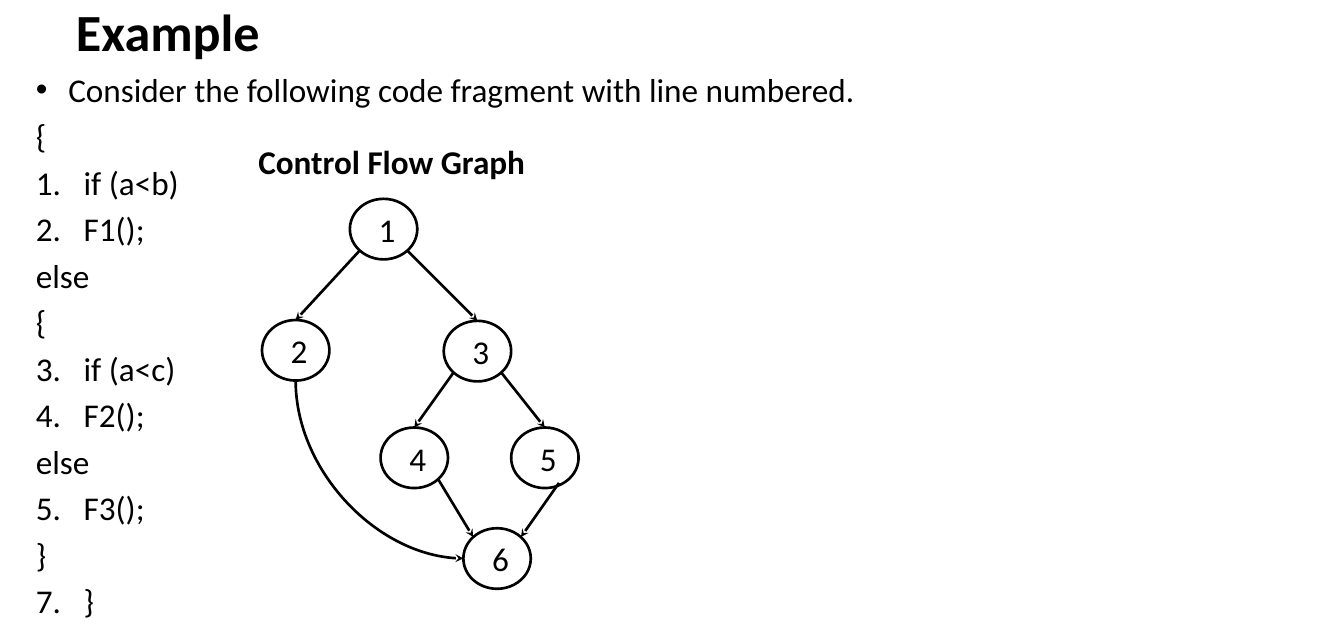
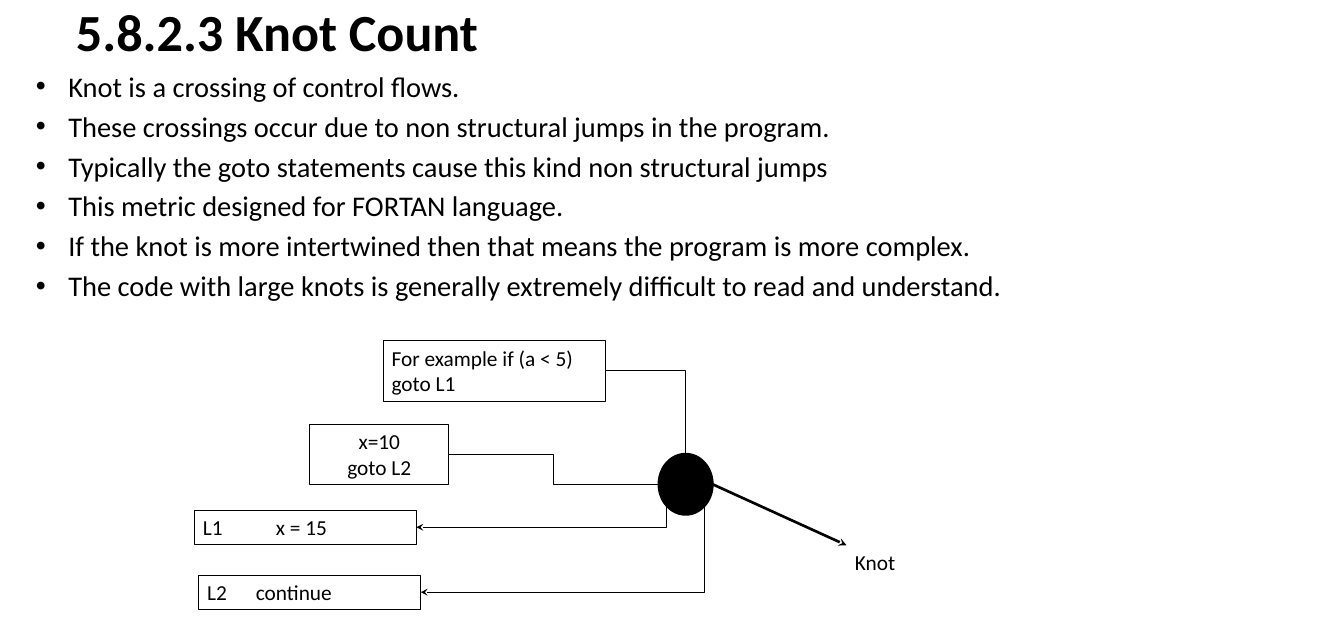
from typing import NamedTuple

from lxml.etree import SubElement
from pptx import Presentation
from pptx.dml.color import RGBColor
from pptx.enum.shapes import MSO_CONNECTOR as Wire, MSO_SHAPE as Geom
from pptx.enum.text import MSO_ANCHOR as Anchor, MSO_AUTO_SIZE as Fit, PP_ALIGN as Align
from pptx.oxml.ns import qn
from pptx.shapes.autoshape import Shape
from pptx.slide import Slide
from pptx.text.text import _Paragraph as Para
from pptx.util import Inches, Pt

INK = RGBColor(0, 0, 0)
PAPER = RGBColor(255, 255, 255)
FONT = "Calibri"
COLS, ROWS, CELL = 63, 30, 0.25  # the slide's grid, cells in inches
THIN, MID, THICK = 0.75, 1, 2.25
DIAG = 0.71  # share of a radius at 45 degrees
HEAD, TAIL = "headEnd", "tailEnd"


class Area(NamedTuple):
    """A rectangle in columns and rows."""
    x: float
    y: float
    w: float
    h: float


class Item(NamedTuple):
    """A body line; mark is a bullet, a first number or nothing."""
    text: str
    mark: str | int = ""


class Edge(NamedTuple):
    """An arrow between nodes, with its ends as shares of their radii."""
    start: int
    out: tuple[float, float]
    end: int
    into: tuple[float, float]


class Box(NamedTuple):
    area: Area
    lines: list[str]
    align: Align = Align.LEFT
    edge: float = THIN
    tab: float = 0


TITLE = Area(3.16, -1.08, 56.72, 5)
BODY = Area(1.28, 3.04, 60.48, 26.96)


# Shared helpers
def cells(n: float) -> int:
    return Inches(n * CELL)


def style(para: Para, size: float, align: Align, bold: bool = False) -> None:
    para.alignment = align
    font = para.font
    font.name, font.size, font.bold = FONT, Pt(size), bold
    font.color.rgb = INK


def place(shape: Shape, area: Area) -> None:
    shape.left, shape.top, shape.width, shape.height = map(cells, area)


def bullet(para: Para, mark: str | int) -> None:
    props = para._p.get_or_add_pPr()
    hang = Inches(0.56 if isinstance(mark, int) else 0.38) if mark else 0
    props.set("marL", str(hang))
    props.set("indent", str(-hang))
    if not mark:
        SubElement(props, qn("a:buNone"))
    elif isinstance(mark, int):
        SubElement(props, qn("a:buAutoNum"), type="arabicPeriod", startAt=str(mark))
    else:
        SubElement(props, qn("a:buChar"), char=mark)


def page(deck: Presentation, title: str, items: list[Item], size: float) -> Slide:
    slide = deck.slides.add_slide(deck.slide_layouts[1])
    head, body = slide.placeholders
    place(head, TITLE)
    head.text_frame.text = title
    style(head.text_frame.paragraphs[0], 44, Align.JUSTIFY, bold=True)
    place(body, BODY)
    frame = body.text_frame
    frame.text = "\n".join(item.text for item in items)
    for para, item in zip(frame.paragraphs, items):
        bullet(para, item.mark)
        style(para, size, Align.JUSTIFY)
    for holder in (head, body):
        holder.text_frame.auto_size = Fit.NONE
    return slide


def draw(slide: Slide, geom: Geom, area: Area, edge: float) -> Shape:
    shape = slide.shapes.add_shape(geom, *map(cells, area))
    shape.shadow.inherit = False
    shape.fill.background()
    if edge:
        shape.line.color.rgb = INK
        shape.line.width = Pt(edge)
    else:
        shape.line.fill.background()
    return shape


def write(shape: Shape, lines: list[str], size: float, align: Align,
          bold: bool = False, tab: float = 0) -> None:
    frame = shape.text_frame
    frame.word_wrap = True
    frame.vertical_anchor = Anchor.TOP
    frame.text = "\n".join(lines)
    for para in frame.paragraphs:
        if tab:
            stops = SubElement(para._p.get_or_add_pPr(), qn("a:tabLst"))
            SubElement(stops, qn("a:tab"), pos=str(cells(tab)), algn="l")
        style(para, size, align, bold)


def rim(shape: Shape, dx: float, dy: float) -> tuple[int, int]:
    """A point at shares of the half width and height from the centre."""
    return (round(shape.left + shape.width * (1 + dx) / 2),
            round(shape.top + shape.height * (1 + dy) / 2))


def link(slide: Slide, start: tuple[int, int], end: tuple[int, int], width: float,
         tip: str = "", kind: Wire = Wire.STRAIGHT, preset: str = "") -> None:
    wire = slide.shapes.add_connector(kind, *start, *end)
    wire.line.color.rgb = INK
    wire.line.width = Pt(width)
    props = wire._element.spPr
    if preset:
        props.find(qn("a:prstGeom")).set("prst", preset)
    if tip:
        SubElement(props.find(qn("a:ln")), qn(f"a:{tip}"), type="stealth")
    SubElement(props, qn("a:effectLst"))


# Slide 1: code and its control flow graph
CODE = [
    Item("Consider the following code fragment with line numbered.", "•"),
    Item("{"), Item("if (a<b)", 1), Item("F1();", 1), Item("else"),
    Item("{"), Item("if (a<c)", 3), Item("F2();", 3), Item("else"),
    Item("F3();", 5), Item("}"), Item("}", 7),
]
SPOTS = [(16.4, 9.32), (12.28, 15), (20.8, 15.04),
         (17.84, 20.04), (23.96, 20.04), (21.72, 24.76)]
UP, LEFT, DOWN, RIGHT = (0, -1), (-1, 0), (0, 1), (1, 0)
SW, SE, NW, NE = (-DIAG, DIAG), (DIAG, DIAG), (-DIAG, -DIAG), (DIAG, -DIAG)
EDGES = [Edge(1, SW, 2, UP), Edge(1, SE, 3, UP), Edge(3, SW, 4, UP),
         Edge(3, SE, 5, UP), Edge(5, (0.42, 0.83), 6, NE), Edge(4, SE, 6, NW)]


def graph(deck: Presentation) -> None:
    slide = page(deck, "Example", CODE, 28)
    label = draw(slide, Geom.RECTANGLE, Area(11.64, 6.44, 13.44, 2.28), 0)
    write(label, ["Control Flow Graph"], 28, Align.CENTER, bold=True)
    nodes = {}
    for num, spot in enumerate(SPOTS, 1):
        node = nodes[num] = draw(slide, Geom.OVAL, Area(*spot, 3.16, 2.84), THICK)
        write(node, [str(num)], 28, Align.CENTER)
        frame = node.text_frame
        frame.vertical_anchor = Anchor.MIDDLE
        frame.margin_left = Inches(0.08)
        frame.margin_right = frame.margin_top = frame.margin_bottom = 0
    for edge in EDGES:
        link(slide, rim(nodes[edge.start], *edge.out),
             rim(nodes[edge.end], *edge.into), THICK, TAIL)
    link(slide, rim(nodes[6], *LEFT), rim(nodes[2], *DOWN), THICK, HEAD,
         Wire.CURVE, "curvedConnector2")


# Slide 2: jumps that cross in a knot
FACTS = [Item(text, "•") for text in (
    "Knot is a crossing of control flows.",
    "These crossings occur due to non structural jumps in the program.",
    "Typically the goto statements cause this kind non structural jumps",
    "This metric designed for FORTAN language.",
    "If the knot is more intertwined then that means the program is more complex.",
    "The code with large knots is generally extremely difficult to read and understand.",
)]
BOXES = [
    Box(Area(17.96, 15.96, 10.4, 2.84), ["For example if (a < 5) goto L1"]),
    Box(Area(14.52, 19.88, 6.52, 2.84), ["x=10", "goto L2"], Align.CENTER),
    Box(Area(9.12, 23.92, 10.4, 1.6), ["L1\tx = 15"], tab=3.42),
    Box(Area(9.32, 26.96, 10.4, 1.6), ["L2\tcontinue"], tab=2.28),
    Box(Area(39.68, 25.56, 10.4, 1.6), ["Knot"], edge=0),
]
# Where each box's line meets the knot, its arrowhead and its shape
JUMPS = [(UP, "", "bentConnector2"), (LEFT, "", "bentConnector3"),
         (SW, HEAD, "bentConnector2"), (SE, HEAD, "bentConnector2")]


def knots(deck: Presentation) -> None:
    slide = page(deck, "5.8.2.3 Knot Count", FACTS, 24)
    knot = draw(slide, Geom.OVAL, Area(30.88, 21.28, 2.52, 2.84), 2)
    knot.fill.solid()
    knot.fill.fore_color.rgb = INK
    drawn = []
    for box in BOXES:
        shape = draw(slide, Geom.RECTANGLE, box.area, box.edge)
        write(shape, box.lines, 18, box.align, tab=box.tab)
        drawn.append(shape)
    for shape, (side, tip, preset) in zip(drawn, JUMPS):
        link(slide, rim(shape, *RIGHT), rim(knot, *side), MID, tip, Wire.ELBOW, preset)
    link(slide, rim(knot, *RIGHT), rim(drawn[-1], -1, -1), THICK, TAIL)


def main() -> None:
    deck = Presentation()
    deck.slide_width, deck.slide_height = cells(COLS), cells(ROWS)
    back = deck.slide_master.background.fill
    back.solid()
    back.fore_color.rgb = PAPER
    graph(deck)
    knots(deck)
    deck.save("out.pptx")


if __name__ == "__main__":
    main()
